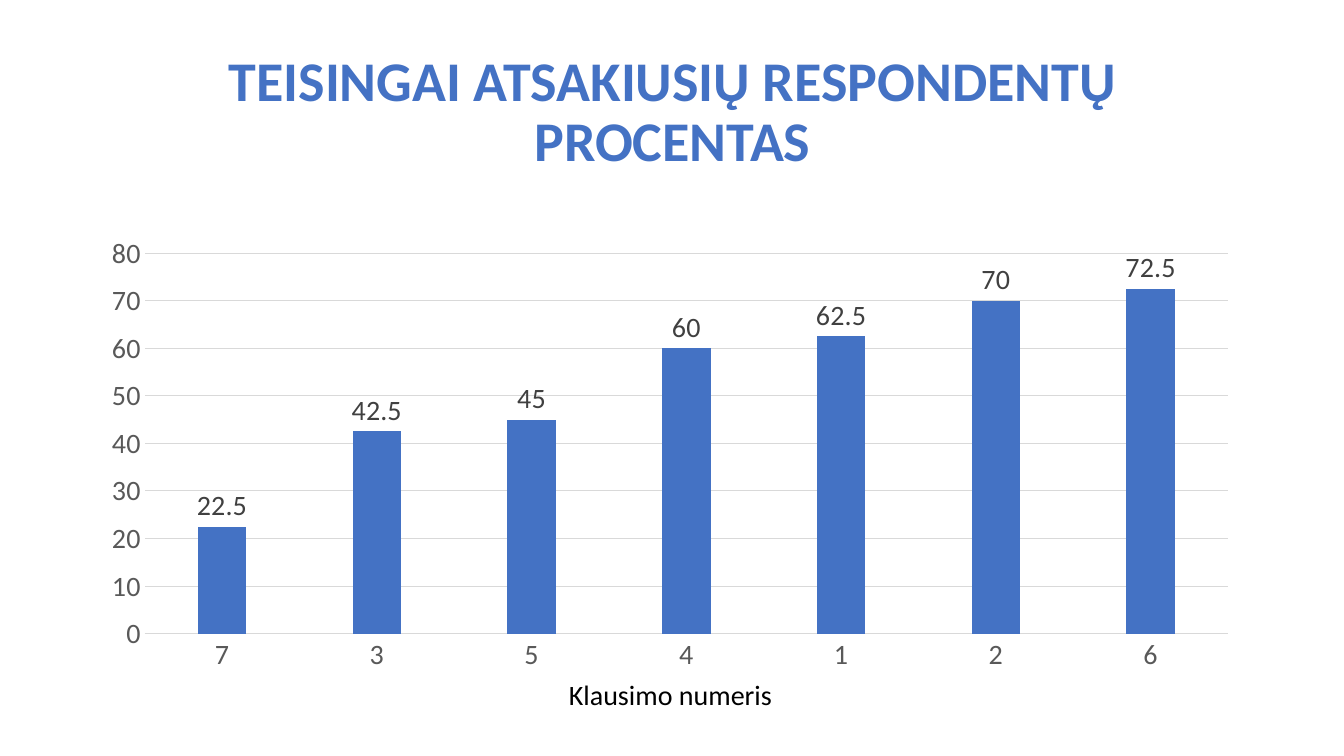
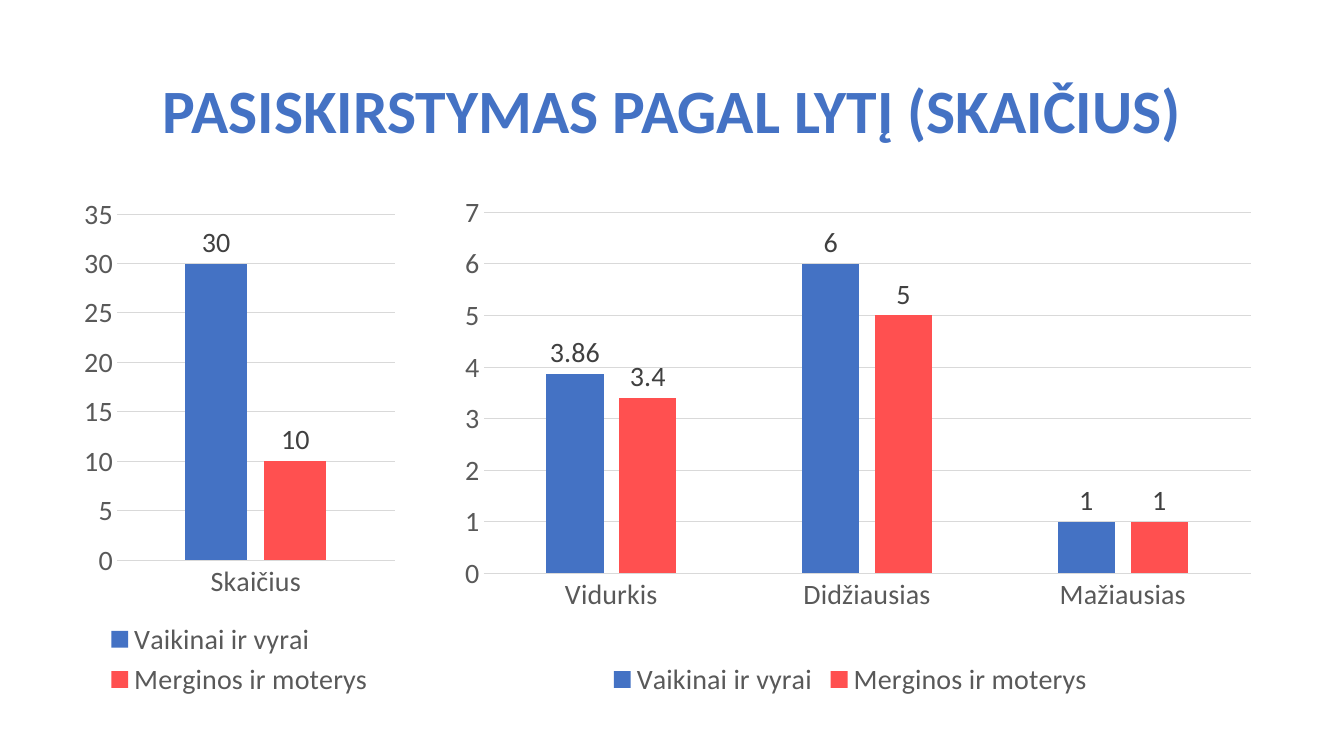
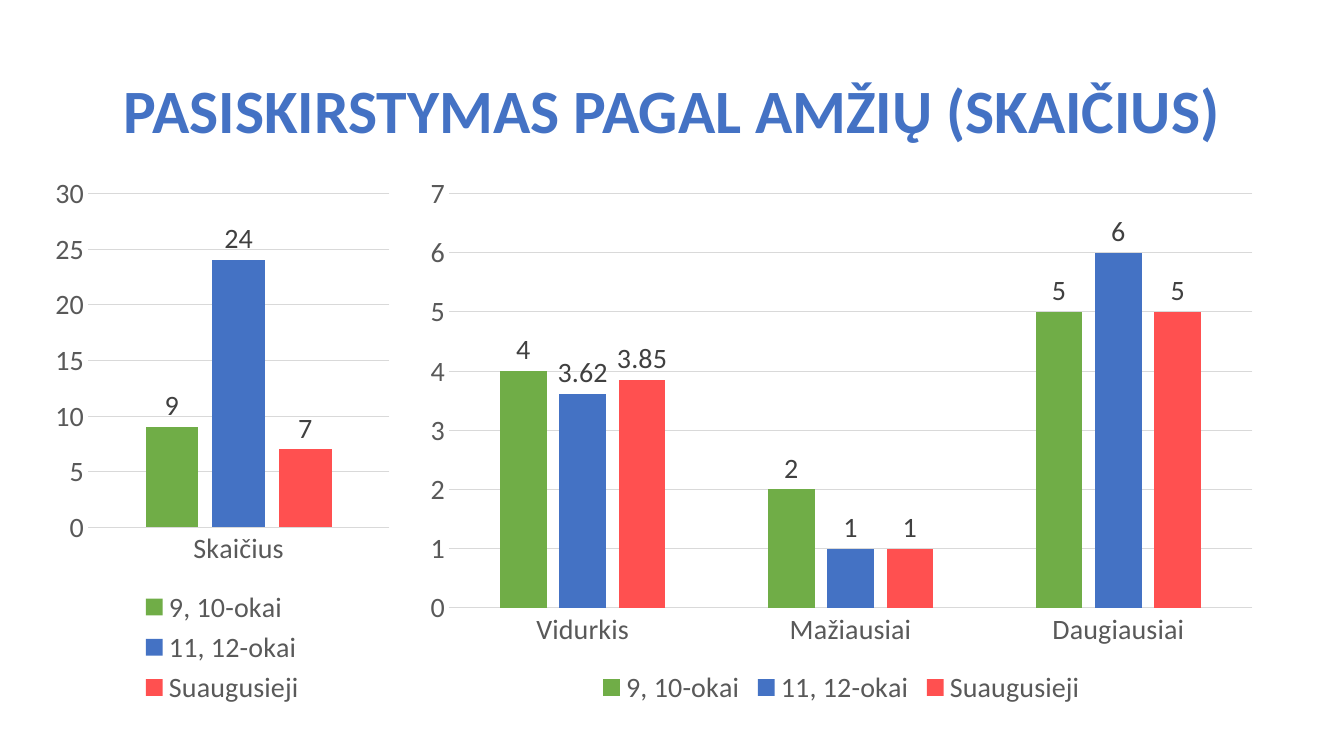
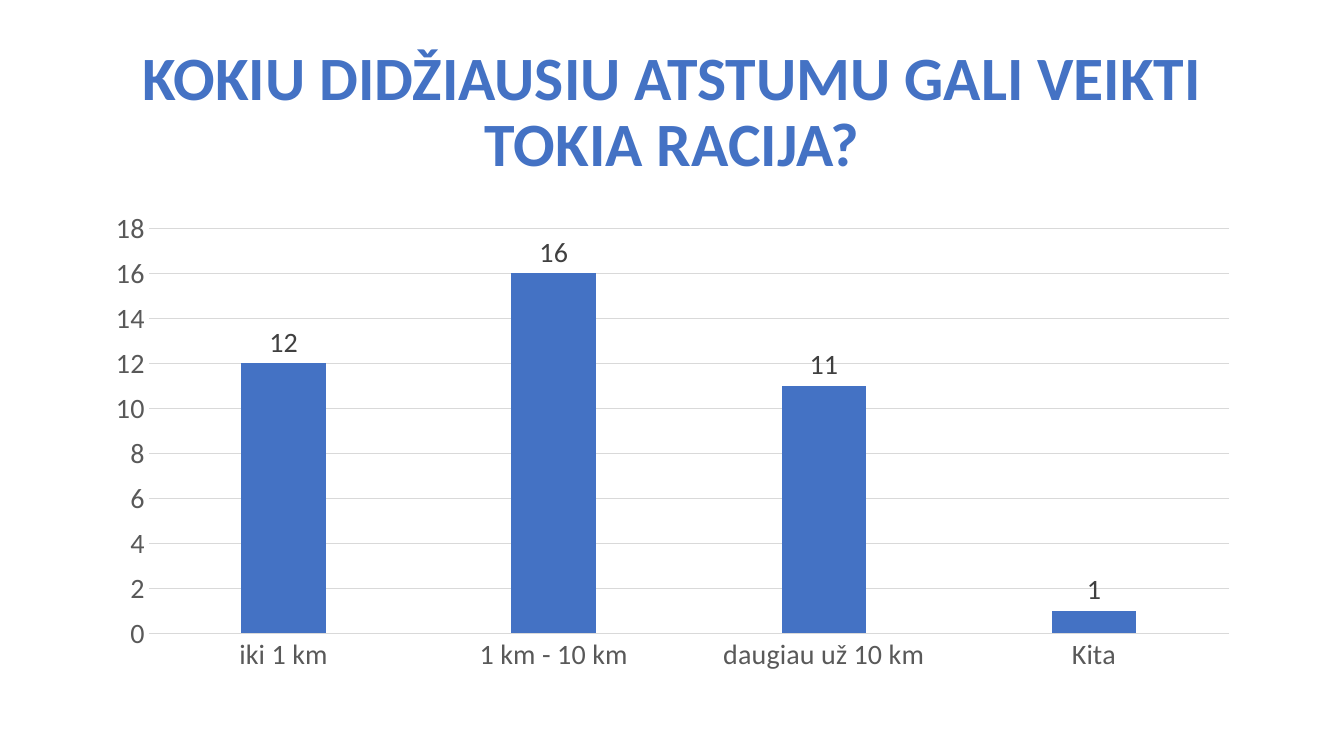
from lxml import etree
from pptx import Presentation
from pptx import util as u
from pptx.chart.data import CategoryChartData
from pptx.dml.color import RGBColor
from pptx.enum import chart as charts, text
from pptx.oxml.ns import qn

Inches, Pt = u.Inches, u.Pt

# Shared style
FONT = "Calibri"
BODY_SIZE = 20
BLUE = RGBColor(0x44, 0x72, 0xC4)
RED = RGBColor(0xFF, 0x50, 0x50)
GREEN = RGBColor(0x70, 0xAD, 0x47)
BLACK = RGBColor(0, 0, 0)
LABEL_GRAY = RGBColor(0x40, 0x40, 0x40)
AXIS_GRAY = RGBColor(0x59, 0x59, 0x59)
GRID_GRAY = RGBColor(0xD9, 0xD9, 0xD9)

TITLE_BOX = (0.92, 0.4, 11.5, 1.45)
GENDERS = [("Vaikinai ir vyrai", BLUE), ("Merginos ir moterys", RED)]
AGES = [("9, 10-okai", GREEN), ("11, 12-okai", BLUE), ("Suaugusieji", RED)]
RESPONDENTS = [("Series 1", BLUE)]


def set_font(font, color, size=BODY_SIZE, bold=False):
    font.name = FONT
    font.size = Pt(size)
    font.bold = bold
    font.color.rgb = color


def set_line(line_format):
    line_format.color.rgb = GRID_GRAY
    line_format.width = Pt(0.75)


def add_text(slide, box, words, color, size=BODY_SIZE, bold=False, spacing=1.0):
    shape = slide.shapes.add_textbox(*map(Inches, box))
    frame = shape.text_frame
    frame.word_wrap = True
    frame.vertical_anchor = text.MSO_ANCHOR.MIDDLE
    paragraph = frame.paragraphs[0]
    paragraph.text = words
    paragraph.alignment = text.PP_ALIGN.CENTER
    paragraph.line_spacing = spacing
    set_font(paragraph.font, color, size, bold)


def add_titled_slide(presentation, title, size=44):
    slide = presentation.slides.add_slide(presentation.slide_layouts[6])
    add_text(slide, TITLE_BOX, title, BLUE, size, bold=True, spacing=0.9)
    return slide


def set_plot_area(chart, fractions):
    """Fix the inner plot area as fractions of the chart: x, y, w, h."""
    plot_area = chart.element.find(".//" + qn("c:plotArea"))
    for layout in plot_area.findall(qn("c:layout")):
        plot_area.remove(layout)
    layout = etree.Element(qn("c:layout"))
    manual = etree.SubElement(layout, qn("c:manualLayout"))
    settings = [("layoutTarget", "inner"), ("xMode", "edge"), ("yMode", "edge")]
    for tag, value in settings + list(zip("xywh", fractions)):
        etree.SubElement(manual, qn("c:" + tag)).set("val", str(value))
    plot_area.insert(0, layout)


def add_columns(slide, box, categories, groups, rows, legend=True):
    """Column chart: groups give names and colours, rows their values."""
    data = CategoryChartData()
    data.categories = categories
    for (name, _), values in zip(groups, rows):
        data.add_series(name, values)
    chart = slide.shapes.add_chart(
        charts.XL_CHART_TYPE.COLUMN_CLUSTERED, *map(Inches, box), data).chart
    set_font(chart.font, BLACK)
    chart.has_title = False

    # Axes and gridlines
    for axis in (chart.category_axis, chart.value_axis):
        axis.major_tick_mark = axis.minor_tick_mark = charts.XL_TICK_MARK.NONE
        set_font(axis.tick_labels.font, AXIS_GRAY)
    set_line(chart.category_axis.format.line)
    chart.value_axis.format.line.fill.background()
    chart.value_axis.has_major_gridlines = True
    set_line(chart.value_axis.major_gridlines.format.line)

    # Columns and value labels
    plot = chart.plots[0]
    plot.gap_width, plot.overlap = 219, -27
    plot.vary_by_categories = False
    for series, (_, color) in zip(plot.series, groups):
        series.format.fill.solid()
        series.format.fill.fore_color.rgb = color
        labels = series.data_labels
        labels.show_value = True
        labels.position = charts.XL_LABEL_POSITION.OUTSIDE_END
        set_font(labels.font, LABEL_GRAY)

    chart.has_legend = legend
    if legend:
        chart.legend.position = charts.XL_LEGEND_POSITION.BOTTOM
        chart.legend.include_in_layout = False
        set_font(chart.legend.font, AXIS_GRAY)
    return chart


def add_correct_answers(presentation):
    slide = add_titled_slide(
        presentation, "TEISINGAI ATSAKIUSIŲ RESPONDENTŲ PROCENTAS", size=40)
    add_columns(slide, (0.88, 2.25, 11.53, 4.51), list("7354126"), RESPONDENTS,
                [(22.5, 42.5, 45, 60, 62.5, 70, 72.5)], legend=False)
    add_text(slide, (3.46, 6.67, 6.38, 0.44), "Klausimo numeris", BLACK)


def add_distribution(presentation, title, groups, count_box, score_box,
                     counts, measures, scores):
    """Group sizes on the left, score statistics on the right."""
    slide = add_titled_slide(presentation, title)
    add_columns(slide, count_box, ["Skaičius"], groups,
                [(count,) for count in counts])
    return add_columns(slide, score_box, measures, groups, scores)


def add_range_question(presentation):
    slide = add_titled_slide(
        presentation, "KOKIU DIDŽIAUSIU ATSTUMU GALI VEIKTI TOKIA RACIJA?")
    add_columns(slide, (0.92, 2, 11.5, 4.76),
                ["iki 1 km", "1 km - 10 km", "daugiau už 10 km", "Kita"],
                RESPONDENTS, [(12, 16, 11, 1)], legend=False)


def main():
    presentation = Presentation()
    presentation.slide_width = Inches(13.33)
    presentation.slide_height = Inches(7.5)

    add_correct_answers(presentation)
    gender_scores = add_distribution(
        presentation, "PASISKIRSTYMAS PAGAL LYTĮ (SKAIČIUS)", GENDERS,
        (0.77, 1.85, 3.21, 5.12), (4.3, 1.85, 8.27, 5.12), (30, 10),
        ["Vidurkis", "Didžiausias", "Mažiausias"],
        [(3.86, 6, 1), (3.4, 5, 1)])
    set_plot_area(gender_scores, (0.06, 0.05, 0.92, 0.7))
    add_distribution(
        presentation, "PASISKIRSTYMAS PAGAL AMŽIŲ (SKAIČIUS)", AGES,
        (0.48, 1.64, 3.45, 5.41), (4.1, 1.64, 8.49, 5.41), (9, 24, 7),
        ["Vidurkis", "Mažiausiai", "Daugiausiai"],
        [(4, 2, 5), (3.62, 1, 6), (3.85, 1, 5)])
    add_range_question(presentation)

    presentation.save("out.pptx")


if __name__ == "__main__":
    main()
